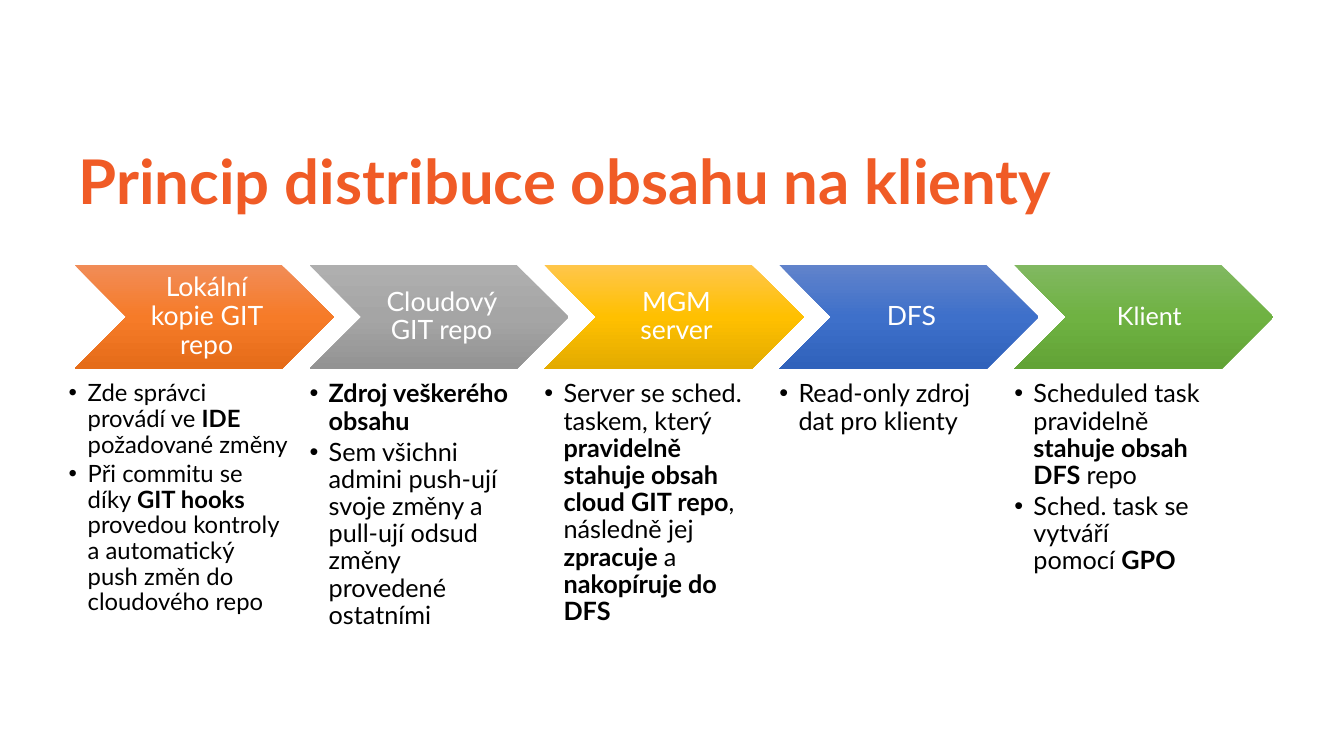
"""Builds the slide showing how content is distributed to clients."""
import copy
from typing import NamedTuple

import pptx
import pptx.dml.color
import pptx.enum.shapes
import pptx.enum.text
import pptx.oxml
import pptx.oxml.ns
import pptx.util

Inches, Pt = pptx.util.Inches, pptx.util.Pt
RGB = pptx.dml.color.RGBColor
ALIGN, ANCHOR = pptx.enum.text.PP_ALIGN, pptx.enum.text.MSO_ANCHOR
qn = pptx.oxml.ns.qn

TITLE = RGB(0xF0, 0x5B, 0x26)
WHITE = RGB(0xFF, 0xFF, 0xFF)
BLACK = RGB(0x00, 0x00, 0x00)
ORANGE = RGB(0xF1, 0x8C, 0x57), RGB(0xF6, 0x7B, 0x28), RGB(0xE5, 0x6C, 0x19)
GRAY = RGB(0xAF, 0xAF, 0xAF), RGB(0xA5, 0xA5, 0xA5), RGB(0x93, 0x93, 0x93)
GOLD = RGB(0xFF, 0xC6, 0x4B), RGB(0xFF, 0xC0, 0x00), RGB(0xE3, 0xAB, 0x00)
BLUE = RGB(0x61, 0x83, 0xCB), RGB(0x3E, 0x70, 0xCA), RGB(0x30, 0x62, 0xBB)
GREEN = RGB(0x81, 0xB8, 0x61), RGB(0x6F, 0xB2, 0x42), RGB(0x62, 0xA3, 0x36)

FONT = "Lato"
LEFT, PITCH = 0.74, 2.33
CHEVRON_TOP, CHEVRON_W, CHEVRON_H = 2.63, 2.57, 1.03
BODY_TOP, BODY_W, BODY_H = 3.78, 0.8 * CHEVRON_W, 3.18
INDENT = 0.19


class Step(NamedTuple):
    """One stage of the process; ** in a bullet switches bold on and off."""
    label: str
    colors: tuple[RGB, RGB, RGB]
    bullets: list[str]
    label_size: int = 19
    body_size: int = 18
    label_insets: tuple[float, float] = (0.08, 0.03)
    body_shift: float = 0
    body_extra: float = 0


STEPS = [
    Step("Lokální kopie GIT repo", ORANGE,
         ["Zde správci provádí ve **IDE **požadované změny",
          "Při commitu se díky **GIT hooks** provedou kontroly a automatický "
          "push změn do cloudového repo"],
         body_size=17, body_shift=-0.06, body_extra=0.13),
    Step("Cloudový GIT repo", GRAY,
         ["**Zdroj veškerého obsahu**",
          "Sem všichni admini push-ují svoje změny a pull-ují odsud změny "
          "provedené ostatními"]),
    Step("MGM server", GOLD,
         ["Server se sched. taskem, který **pravidelně stahuje obsah cloud "
          "GIT repo**, následně jej **zpracuje **a **nakopíruje do DFS**"]),
    Step("DFS", BLUE, ["Read-only zdroj dat pro klienty"]),
    Step("Klient", GREEN,
         ["Scheduled task pravidelně **stahuje obsah DFS **repo",
          "Sched. task se vytváří pomocí\u00a0**GPO**"],
         label_size=18, label_insets=(0.16, 0.05)),
]


def format_run(r, size: float, color: RGB, bold: bool = False) -> None:
    """Set the font of a run."""
    r.font.name, r.font.size, r.font.bold = FONT, Pt(size), bold
    r.font.color.rgb = color


def set_insets(tf, left: float, rest: float) -> None:
    """Set the text margins in inches and turn wrapping on."""
    tf.word_wrap = True
    tf.margin_left = Inches(left)
    tf.margin_top = tf.margin_right = tf.margin_bottom = Inches(rest)


def fill_gradient(sp, colors: tuple[RGB, ...]) -> None:
    """Fill a shape from top to bottom with evenly spaced colours."""
    sp.fill.gradient()
    sp.fill.gradient_angle = 270
    stop_list = next(sp._element.spPr.iter(qn("a:gsLst")))
    while len(stop_list) < len(colors):
        stop_list.append(copy.deepcopy(stop_list[-1]))
    for i, (stop, color) in enumerate(zip(sp.fill.gradient_stops, colors)):
        stop.position = i / (len(colors) - 1)
        stop.color.rgb = color


def add_chevron(slide, step: Step, left: float) -> None:
    """Draw the labelled arrow of a step."""
    sp = slide.shapes.add_shape(
        pptx.enum.shapes.MSO_SHAPE.CHEVRON, Inches(left), Inches(CHEVRON_TOP),
        Inches(CHEVRON_W), Inches(CHEVRON_H))
    sp.shadow.inherit = False
    sp.line.fill.background()
    fill_gradient(sp, step.colors)
    tf = sp.text_frame
    set_insets(tf, *step.label_insets)
    tf.vertical_anchor = ANCHOR.MIDDLE
    tf.text = step.label
    p = tf.paragraphs[0]
    p.alignment, p.line_spacing = ALIGN.CENTER, 0.9
    format_run(p.runs[0], step.label_size, WHITE)


def add_bullet(p, text: str, size: float) -> None:
    """Write a bulleted paragraph with bold parts."""
    p.line_spacing, p.space_after = 0.9, Pt(0.15 * size)
    pPr = p._p.get_or_add_pPr()
    pPr.set("marL", str(Inches(INDENT)))
    pPr.set("indent", str(-Inches(INDENT)))
    for tag, key, value in (("a:buFont", "typeface", "Arial"), ("a:buChar", "char", "•")):
        bullet = pptx.oxml.parse_xml(f'<{tag} {pptx.oxml.ns.nsdecls("a")}/>')
        bullet.set(key, value)
        pPr.append(bullet)
    for i, part in enumerate(text.split("**")):
        if part:
            r = p.add_run()
            r.text = part
            format_run(r, size, BLACK, bold=i % 2 == 1)


def add_body(slide, step: Step, left: float) -> None:
    """Write the bullets under a step."""
    box = slide.shapes.add_textbox(
        Inches(left + step.body_shift), Inches(BODY_TOP),
        Inches(BODY_W + step.body_extra), Inches(BODY_H))
    tf = box.text_frame
    set_insets(tf, 0, 0)
    for i, text in enumerate(step.bullets):
        add_bullet(tf.add_paragraph() if i else tf.paragraphs[0], text, step.body_size)


def set_title(slide, text: str) -> None:
    """Place and format the title."""
    sp = slide.shapes.title
    sp.left, sp.top, sp.width, sp.height = map(Inches, (0.68, 1.48, 11.97, 0.7))
    tf = sp.text_frame
    tf.text = text
    tf.vertical_anchor = ANCHOR.MIDDLE
    tf.auto_size = pptx.enum.text.MSO_AUTO_SIZE.NONE
    p = tf.paragraphs[0]
    p.alignment, p.line_spacing = ALIGN.LEFT, 0.9
    format_run(p.runs[0], 44, TITLE, bold=True)


def main() -> None:
    """Build and save the presentation."""
    prs = pptx.Presentation()
    prs.slide_width, prs.slide_height = Inches(13.33), Inches(7.5)
    slide = prs.slides.add_slide(prs.slide_layouts.get_by_name("Title Only"))
    set_title(slide, "Princip distribuce obsahu na klienty")
    for column, step in enumerate(STEPS):
        left = LEFT + column * PITCH
        add_chevron(slide, step, left)
        add_body(slide, step, left)
    prs.save("out.pptx")


main()
